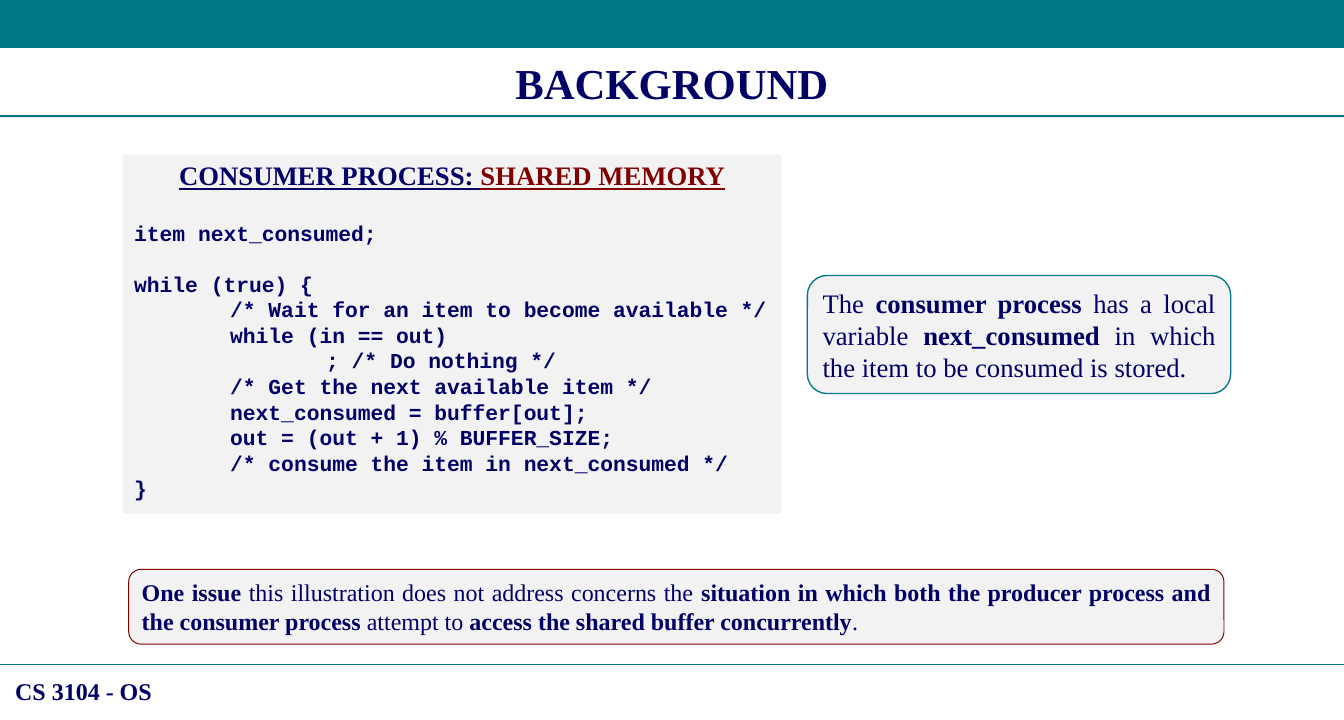
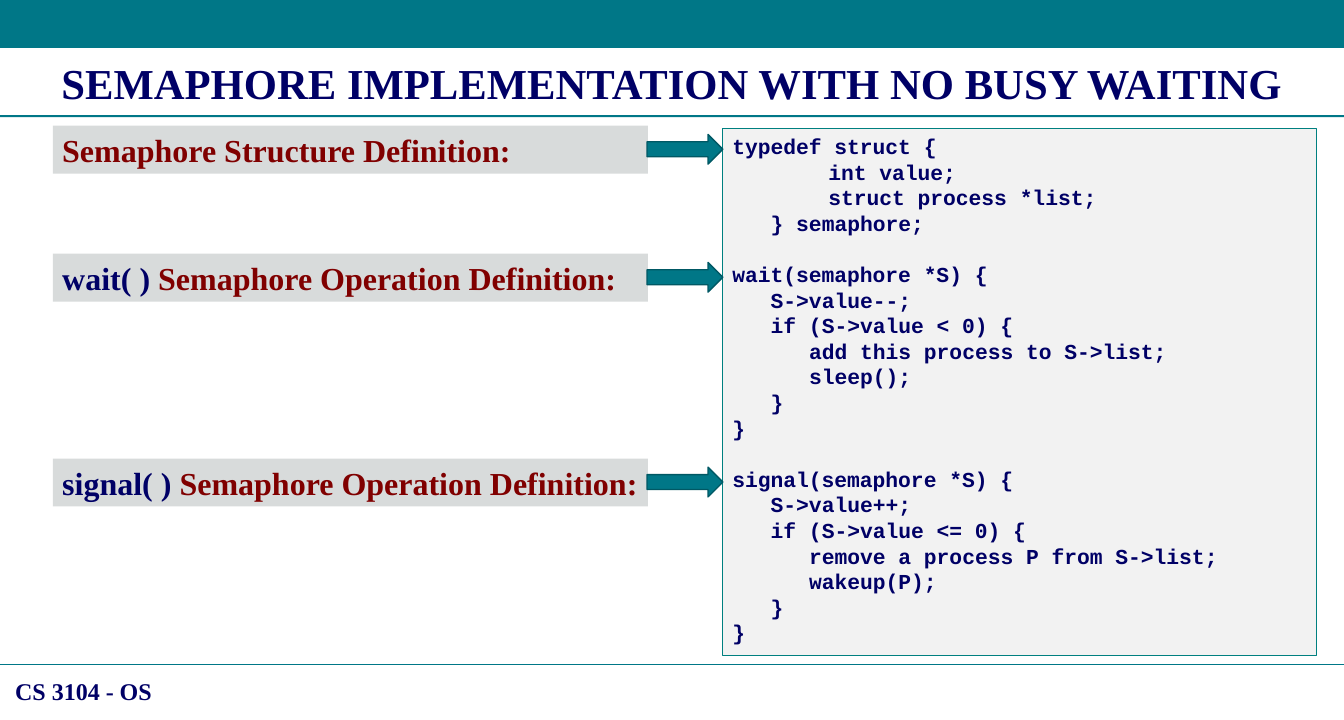
from lxml.etree import SubElement
from pptx import Presentation
from pptx.dml.color import RGBColor
from pptx.enum.shapes import MSO_CONNECTOR, MSO_SHAPE
from pptx.enum.text import MSO_ANCHOR, PP_ALIGN
from pptx.oxml.ns import qn
from pptx.util import Inches, Pt

TEAL = RGBColor(0x00, 0x77, 0x87)
DARK_TEAL = RGBColor(0x00, 0x58, 0x64)
CODE_EDGE = RGBColor(0x00, 0x80, 0x80)
NAVY = RGBColor(0x00, 0x00, 0x66)
MAROON = RGBColor(0x80, 0x00, 0x00)
PALE = RGBColor(0xF2, 0xF2, 0xF2)
GREY = RGBColor(0xD8, 0xDB, 0xDB)

SERIF, MONO = "Times New Roman", "Courier New"
COLS, ROWS = 140, 75
CELL = Inches(0.1)
CODE_SIZE, CODE_PITCH = 16, 19.2
CODE_ROW = CODE_PITCH / 7.2
TAB, STEP = 10, 4

CONSUMER = [
    (0, "item next_consumed;"),
    None,
    (0, "while (true) {"),
    (TAB, "/* Wait for an item to become available */"),
    (TAB, "while (in == out)"),
    (2 * TAB, "; /* Do nothing */"),
    (TAB, "/* Get the next available item */"),
    (TAB, "next_consumed = buffer[out];"),
    (TAB, "out = (out + 1) % BUFFER_SIZE;"),
    (TAB, "/* consume the item in next_consumed */"),
    (0, "}"),
]
SEMAPHORE = [
    (0, "typedef struct {"),
    (TAB, "int value;"),
    (TAB, "struct process *list;"),
    (STEP, "} semaphore;"),
    None,
    (0, "wait(semaphore *S) {"),
    (STEP, "S->value--;"),
    (STEP, "if (S->value < 0) {"),
    (2 * STEP, "add this process to S->list;"),
    (2 * STEP, "sleep();"),
    (STEP, "}"),
    (0, "}"),
    None,
    (0, "signal(semaphore *S) {"),
    (STEP, "S->value++;"),
    (STEP, "if (S->value <= 0) {"),
    (2 * STEP, "remove a process P from S->list;"),
    (2 * STEP, "wakeup(P);"),
    (STEP, "}"),
    (0, "}"),
]
LABELS = [
    (0, [("Semaphore Structure Definition:", True, MAROON)]),
    (5, [("wait( )", True, NAVY),
         (" Semaphore Operation Definition:", True, MAROON)]),
    (13, [("signal( )", True, NAVY),
          (" Semaphore Operation Definition:", True, MAROON)]),
]


def grid(*cells):
    """Convert grid columns and rows to lengths."""
    return [int(c * CELL) for c in cells]


def add_box(s, at, fill, line=None, width=1, kind=MSO_SHAPE.RECTANGLE):
    """Add a flat preset shape."""
    sp = s.shapes.add_shape(kind, *grid(*at))
    sp.shadow.inherit = False
    sp.fill.solid()
    sp.fill.fore_color.rgb = fill
    if line is None:
        sp.line.fill.background()
    else:
        sp.line.color.rgb = line
        sp.line.width = Pt(width)
    return sp


def add_text(s, at):
    """Add an empty text box."""
    return s.shapes.add_textbox(*grid(*at))


def style(r, size, bold=True, color=NAVY, font=SERIF):
    """Set the font of a run."""
    r.font.name = font
    r.font.size = Pt(size)
    r.font.bold = bold
    r.font.color.rgb = color


def write(sp, parts, size, align=PP_ALIGN.LEFT, anchor=MSO_ANCHOR.TOP):
    """Write one paragraph of (text, bold, color) parts."""
    tf = sp.text_frame
    tf.word_wrap = True
    tf.vertical_anchor = anchor
    p = tf.paragraphs[0]
    p.alignment = align
    for text, bold, color in parts:
        r = p.add_run()
        r.text = text
        style(r, size, bold, color)
    return p


def write_code(sp, lines):
    """Write indented code lines, with None as a one-line gap."""
    tf = sp.text_frame
    tf.word_wrap = True
    tf.vertical_anchor = MSO_ANCHOR.TOP
    for i, line in enumerate(lines):
        if line is None:
            continue
        indent, text = line
        p = tf.add_paragraph() if i else tf.paragraphs[0]
        p.text = text
        p.alignment = PP_ALIGN.LEFT
        p.line_spacing = Pt(CODE_PITCH)
        if i and lines[i - 1] is None:
            p.space_before = Pt(CODE_PITCH)
        p._p.get_or_add_pPr().set("marL", str(grid(indent)[0]))
        style(p.runs[0], CODE_SIZE, font=MONO)


def add_note(s, at, parts, size, line, width):
    """Add a rounded, justified note."""
    sp = add_box(s, at, PALE, line, width, MSO_SHAPE.ROUNDED_RECTANGLE)
    write(sp, parts, size, PP_ALIGN.JUSTIFY, MSO_ANCHOR.MIDDLE)


def add_rule(s, row):
    """Draw a full-width line."""
    c = s.shapes.add_connector(MSO_CONNECTOR.STRAIGHT, *grid(0, row, COLS, row))
    c.line.color.rgb = TEAL
    c.line.width = Pt(1)
    SubElement(c._element.spPr, qn("a:effectLst"))


def add_slide(prs, title):
    """Add a slide with band, title and footer."""
    s = prs.slides.add_slide(prs.slide_layouts[6])
    add_box(s, (0, 0, COLS, 5), TEAL)
    add_rule(s, 69.2)
    add_box(s, (0, 12, COLS, 0.2), TEAL)
    write(add_text(s, (0.6, 70, 18, 4)), [("CS 3104 - OS", True, NAVY)], 18)
    write(add_text(s, (1.1, 5.4, COLS - 2.2, 6.4)), [(title, True, NAVY)], 32,
          PP_ALIGN.CENTER)
    return s


def build_background(prs):
    """Build the consumer process slide."""
    s = add_slide(prs, "BACKGROUND")
    panel = add_box(s, (12.8, 16.1, 68.6, 37.4), PALE)
    p = write(panel, [("CONSUMER PROCESS: ", True, NAVY),
                      ("SHARED MEMORY", True, MAROON)], 20, PP_ALIGN.CENTER)
    for r in p.runs:
        r.font.underline = True
    write_code(add_text(s, (13, 22.4, 68.6, 30.6)), CONSUMER)
    add_note(s, (84.1, 28.7, 44.1, 12.3), [
        ("The ", False, NAVY),
        ("consumer process", True, NAVY),
        (" has a local variable ", False, NAVY),
        ("next_consumed ", True, NAVY),
        ("in which the item to be consumed is stored.", False, NAVY),
    ], 20, TEAL, 1)
    add_note(s, (13.4, 59.3, 114.1, 7.8), [
        ("One issue ", True, NAVY),
        ("this illustration does not address concerns the ", False, NAVY),
        ("situation in which both the producer process and "
         "the consumer process", True, NAVY),
        (" attempt to ", False, NAVY),
        ("access the shared buffer concurrently", True, NAVY),
        (".", False, NAVY),
    ], 18, MAROON, 0.75)


def build_semaphore(prs):
    """Build the semaphore slide, each label level with its code line."""
    s = add_slide(prs, "SEMAPHORE IMPLEMENTATION WITH NO BUSY WAITING")
    code = add_box(s, (75.3, 13.4, 61.8, 54.9), PALE, CODE_EDGE, 0.75)
    write_code(code, SEMAPHORE)
    for line, parts in LABELS:
        top = 13.1 + line * CODE_ROW
        label = add_box(s, (5.5, top, 62, 5), GREY)
        write(label, parts, 24)
        add_box(s, (67.4, top + 0.9, 7.9, 3.1), TEAL, DARK_TEAL,
                kind=MSO_SHAPE.RIGHT_ARROW)


def main():
    """Build and save the slides."""
    prs = Presentation()
    prs.slide_width, prs.slide_height = grid(COLS, ROWS)
    build_background(prs)
    build_semaphore(prs)
    prs.save("out.pptx")


if __name__ == "__main__":
    main()
